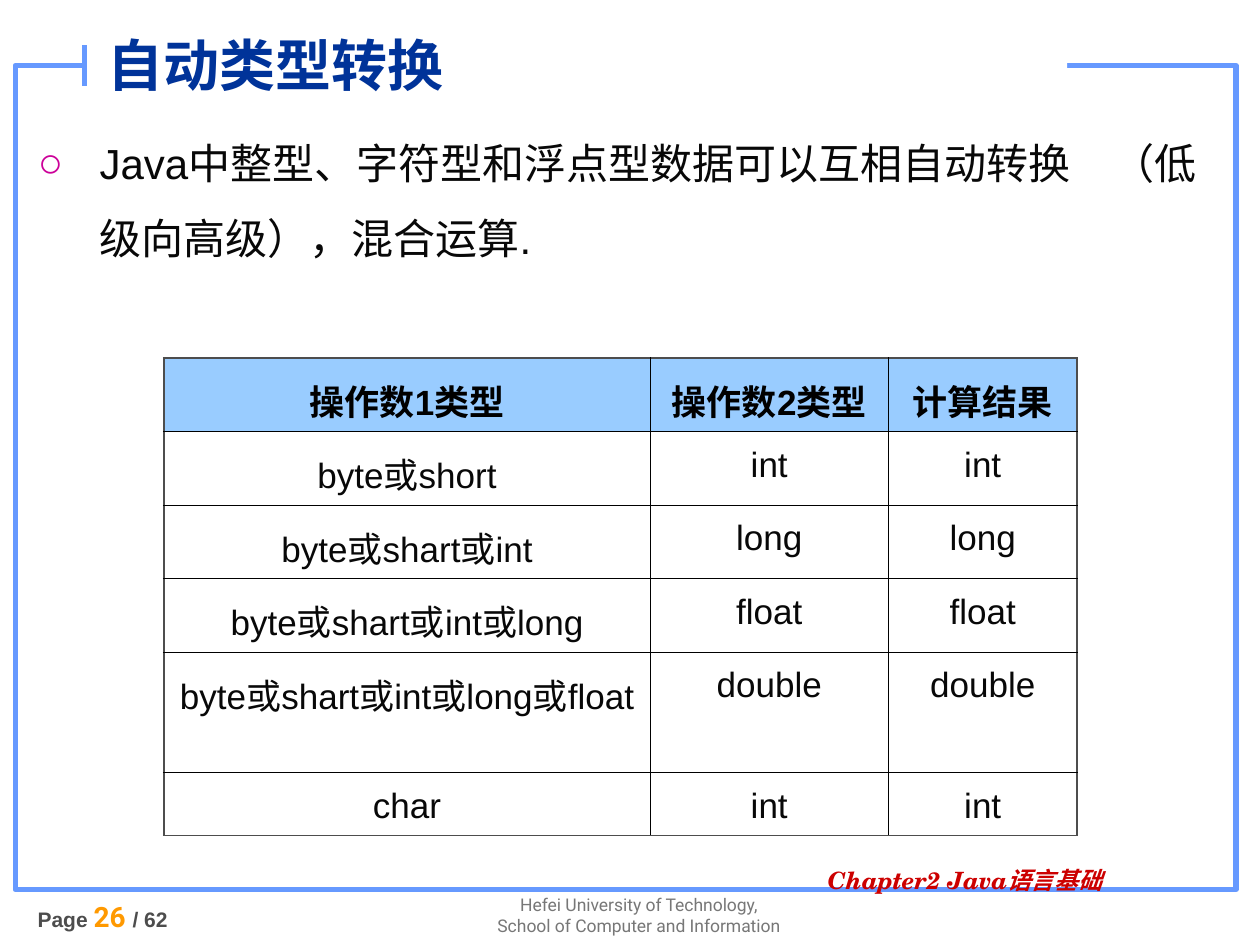
import pptx
import pptx.dml.color
import pptx.enum.shapes
import pptx.enum.text
import pptx.oxml
import pptx.oxml.ns
import pptx.util

Pt = pptx.util.Pt
ALIGN = pptx.enum.text.PP_ALIGN
ANCHOR = pptx.enum.text.MSO_ANCHOR

BLUE, GREY, INK, BLACK = "6699FF", "4D4D4D", "080808", "000000"
NS = pptx.oxml.ns.nsdecls("a")

COLUMN_WIDTHS = [278, 136, 108]
ROW_HEIGHTS = [36, 36, 36, 36, 64.8, 36]
ROWS = [
    ["操作数1类型", "操作数2类型", "计算结果"],
    ["byte或short", "int", "int"],
    ["byte或shart或int", "long", "long"],
    ["byte或shart或int或long", "float", "float"],
    ["byte或shart或int或long或float", "double", "double"],
    ["char", "int", "int"],
]


def rgb(value):
    return pptx.dml.color.RGBColor.from_string(value)


def add_run(p, text, size=20, color=INK, font="Arial", bold=False, italic=False):
    r = p.add_run()
    r.text = text
    r.font.size = Pt(size)
    r.font.name = font
    r.font.bold = bold
    r.font.italic = italic
    r.font.color.rgb = rgb(color)


def place(sp, left, top, width, height):
    sp.left, sp.top, sp.width, sp.height = Pt(left), Pt(top), Pt(width), Pt(height)


def add_text_box(s, left, top, width, height):
    sp = s.shapes.add_textbox(Pt(left), Pt(top), Pt(width), Pt(height))
    sp.text_frame.word_wrap = True
    return sp.text_frame


def add_rectangle(s, left, top, width, height, fill=None, line=None):
    sp = s.shapes.add_shape(pptx.enum.shapes.MSO_SHAPE.RECTANGLE,
                            Pt(left), Pt(top), Pt(width), Pt(height))
    sp.shadow.inherit = False
    if fill:
        sp.fill.solid()
        sp.fill.fore_color.rgb = rgb(fill)
    else:
        sp.fill.background()
    if line:
        sp.line.color.rgb = rgb(line)
        sp.line.width = Pt(3)
    else:
        sp.line.fill.background()


def add_line(s, x1, y1, x2, y2):
    sp = s.shapes.add_connector(pptx.enum.shapes.MSO_CONNECTOR.STRAIGHT,
                                Pt(x1), Pt(y1), Pt(x2), Pt(y2))
    sp.line.color.rgb = rgb(BLUE)
    sp.line.width = Pt(3)
    sp.element.spPr.append(pptx.oxml.parse_xml(f"<a:effectLst {NS}/>"))


def add_frame(s):
    """Blue page border, opened at the top for the title."""
    add_rectangle(s, 8.64, 37.44, 697.68, 470.88, line=BLUE)
    add_rectangle(s, 48.24, 20.16, 561.6, 25.2, fill="FFFFFF")
    add_line(s, 48.24, 25.92, 48.24, 48.96)


def add_footers(s):
    tf = add_text_box(s, 273.6, 507.6, 182.88, 43.2)
    lines = ["Hefei University of Technology,", "School of Computer and Information"]
    for i, text in enumerate(lines):
        p = tf.add_paragraph() if i else tf.paragraphs[0]
        p.alignment = ALIGN.CENTER
        add_run(p, text, size=10, color="777777", font="Roboto")

    p = add_text_box(s, 14.4, 510.48, 130.32, 48.24).paragraphs[0]
    add_run(p, "Page ", size=12, color=GREY, bold=True)
    add_run(p, "26 ", size=16, color="FF9900", font="Roboto", bold=True)
    add_run(p, "/ 62", size=12, color=GREY, bold=True)

    p = add_text_box(s, 465.84, 493.2, 221.04, 25.2).paragraphs[0]
    p.line_spacing = 0.9
    add_run(p, "Chapter2 Java语言基础", size=13.6, color="CC0000",
            font="TeX Gyre Schola", bold=True, italic=True)


def fill_placeholder(s, sp, anchor, box):
    """Position the placeholder in front of the frame and return its paragraph."""
    place(sp, *box)
    s.shapes.element.append(sp.element)
    tf = sp.text_frame
    tf.auto_size = pptx.enum.text.MSO_AUTO_SIZE.NONE
    tf.vertical_anchor = anchor
    p = tf.paragraphs[0]
    p.alignment = ALIGN.LEFT
    p.space_before = Pt(0)
    return p


def set_bullet(p, char, color, indent):
    pPr = p._p.get_or_add_pPr()
    pPr.set("marL", str(Pt(indent)))
    pPr.set("indent", str(-Pt(indent)))
    for xml in (f'<a:buClr {NS}><a:srgbClr val="{color}"/></a:buClr>',
                f'<a:buChar {NS} char="{char}"/>'):
        pPr.append(pptx.oxml.parse_xml(xml))


def set_borders(cell, outer):
    """Draw the four cell edges, heavier grey on the sides named in outer."""
    tcPr = cell._tc.get_or_add_tcPr()
    for side in "LRTB":
        color, width = (GREY, 1.08) if side in outer else (BLACK, 0.45)
        tcPr.append(pptx.oxml.parse_xml(
            f'<a:ln{side} {NS} w="{Pt(width)}"><a:solidFill>'
            f'<a:srgbClr val="{color}"/></a:solidFill></a:ln{side}>'))


def add_type_table(s):
    n_rows, n_cols = len(ROWS), len(COLUMN_WIDTHS)
    table = s.shapes.add_table(n_rows, n_cols, Pt(93.6), Pt(204.48),
                               Pt(sum(COLUMN_WIDTHS)), Pt(sum(ROW_HEIGHTS))).table
    table.first_row = table.horz_banding = False
    for column, width in zip(table.columns, COLUMN_WIDTHS):
        column.width = Pt(width)
    for i, texts in enumerate(ROWS):
        table.rows[i].height = Pt(ROW_HEIGHTS[i])
        for j, text in enumerate(texts):
            cell = table.cell(i, j)
            edges = {"L": j == 0, "R": j == n_cols - 1, "T": i == 0, "B": i == n_rows - 1}
            set_borders(cell, [side for side, is_outer in edges.items() if is_outer])
            header = i == 0
            if header:
                cell.fill.solid()
                cell.fill.fore_color.rgb = rgb("99CCFF")
            else:
                cell.fill.background()
            p = cell.text_frame.paragraphs[0]
            p.alignment = ALIGN.CENTER
            p.line_spacing = 1.2
            add_run(p, text, color=BLACK if header else INK, bold=header)


def main():
    prs = pptx.Presentation()
    prs.slide_width, prs.slide_height = Pt(720), Pt(540)
    s = prs.slides.add_slide(prs.slide_layouts[1])
    add_frame(s)
    add_footers(s)

    p = fill_placeholder(s, s.shapes.title, ANCHOR.MIDDLE, (54, 7.92, 487.44, 57.6))
    add_run(p, "自动类型转换", size=32, color="003399", bold=True)

    p = fill_placeholder(s, s.placeholders[1], ANCHOR.TOP, (14.4, 60.48, 686.16, 102.24))
    p.line_spacing = 1.5
    set_bullet(p, "○", "CC0099", 35.28)
    add_run(p, "Java中整型、字符型和浮点型数据可以互相自动转换　（低级向高级），混合运算.", size=24)

    add_type_table(s)
    prs.save("out.pptx")


if __name__ == "__main__":
    main()
